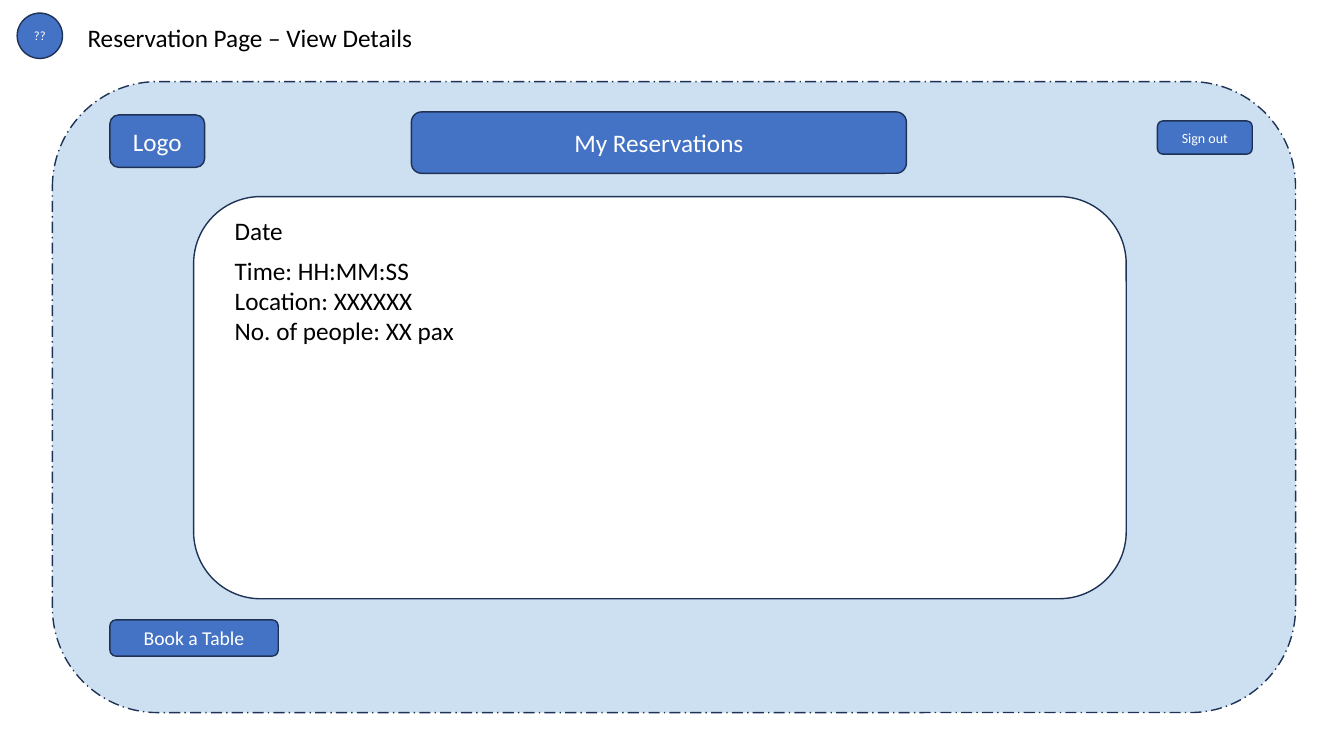
from dataclasses import dataclass

from lxml import etree
from pptx import Presentation
from pptx.dml.color import RGBColor
from pptx.enum.dml import MSO_LINE
from pptx.enum.shapes import MSO_SHAPE
from pptx.enum.text import MSO_ANCHOR, MSO_AUTO_SIZE, PP_ALIGN
from pptx.oxml.ns import qn
from pptx.shapes.autoshape import Shape
from pptx.shapes.shapetree import GroupShapes, SlideShapes
from pptx.util import Inches, Pt

ROUNDED = MSO_SHAPE.ROUNDED_RECTANGLE
CIRCLE = MSO_SHAPE.FLOWCHART_CONNECTOR
DASH_DOT = MSO_LINE.LONG_DASH_DOT
MIDDLE = MSO_ANCHOR.MIDDLE
CENTER = PP_ALIGN.CENTER
GROW = MSO_AUTO_SIZE.SHAPE_TO_FIT_TEXT

COLORS = {
    "page": "5B9BD5",
    "button": "4472C4",
    "outline": "1E3256",
    "white": "FFFFFF",
    "black": "000000",
}
FONT = "Calibri"
PAGE_OPACITY = 30


@dataclass(frozen=True)
class Box:
    left: float
    top: float
    width: float
    height: float

    def lengths(self) -> list[int]:
        return [Inches(value) for value in (self.left, self.top, self.width, self.height)]


@dataclass(frozen=True)
class Button:
    label: str
    box: Box
    size: int
    preset: MSO_SHAPE = ROUNDED


BUTTONS = [
    Button("Logo", Box(1.09, 1.14, 0.94, 0.52), 18),
    Button("My Reservations", Box(4.08, 1.11, 4.91, 0.61), 18),
    Button("??", Box(0.17, 0.13, 0.45, 0.45), 9, CIRCLE),
    Button("Sign out", Box(11.48, 1.2, 0.94, 0.33), 10),
    Button("Book a Table", Box(1.09, 6.15, 1.67, 0.36), 14),
]


def rgb(name: str) -> RGBColor:
    return RGBColor.from_string(COLORS[name])


def write(shape: Shape, lines: list[str], size: int, color: str) -> None:
    frame = shape.text_frame
    frame.text = "\n".join(lines)
    for paragraph in frame.paragraphs:
        paragraph.font.name = FONT
        paragraph.font.size = Pt(size)
        paragraph.font.color.rgb = rgb(color)


def add_panel(shapes: SlideShapes | GroupShapes, box: Box, fill: str,
              preset: MSO_SHAPE = ROUNDED) -> Shape:
    shape = shapes.add_shape(preset, *box.lengths())
    shape.shadow.inherit = False
    shape.fill.solid()
    shape.fill.fore_color.rgb = rgb(fill)
    shape.line.color.rgb = rgb("outline")
    shape.line.width = Pt(1)
    return shape


def add_button(shapes: SlideShapes, button: Button) -> None:
    shape = add_panel(shapes, button.box, "button", button.preset)
    write(shape, [button.label], button.size, "white")
    shape.text_frame.word_wrap = False
    shape.text_frame.vertical_anchor = MIDDLE
    shape.text_frame.paragraphs[0].alignment = CENTER


def add_text(shapes: SlideShapes | GroupShapes, box: Box, lines: list[str]) -> None:
    shape = shapes.add_textbox(*box.lengths())
    write(shape, lines, 18, "black")
    shape.text_frame.word_wrap = True
    shape.text_frame.auto_size = GROW


def set_opacity(shape: Shape, percent: int) -> None:
    color = shape.fill._xPr.find(qn("a:solidFill"))[0]
    etree.SubElement(color, qn("a:alpha"), val=str(percent * 1000))


def main() -> None:
    presentation = Presentation()
    presentation.slide_width = Inches(13.33)
    presentation.slide_height = Inches(7.5)
    slide = presentation.slides.add_slide(presentation.slide_layouts[6])
    shapes = slide.shapes

    page = add_panel(shapes, Box(0.52, 0.81, 12.33, 6.26), "page")
    page.line.dash_style = DASH_DOT
    set_opacity(page, PAGE_OPACITY)

    for button in BUTTONS:
        add_button(shapes, button)
    add_text(shapes, Box(0.77, 0.17, 6.5, 0.4), ["Reservation Page – View Details"])

    reservation = shapes.add_group_shape().shapes
    add_panel(reservation, Box(1.92, 1.95, 9.25, 3.99), "white")
    add_text(reservation, Box(2.23, 2.09, 8.06, 0.33), ["Date"])
    add_text(shapes, Box(2.23, 2.48, 6.76, 1.62),
             ["Time: HH:MM:SS", "Location: XXXXXX", "No. of people: XX pax"])

    presentation.save("out.pptx")


if __name__ == "__main__":
    main()
